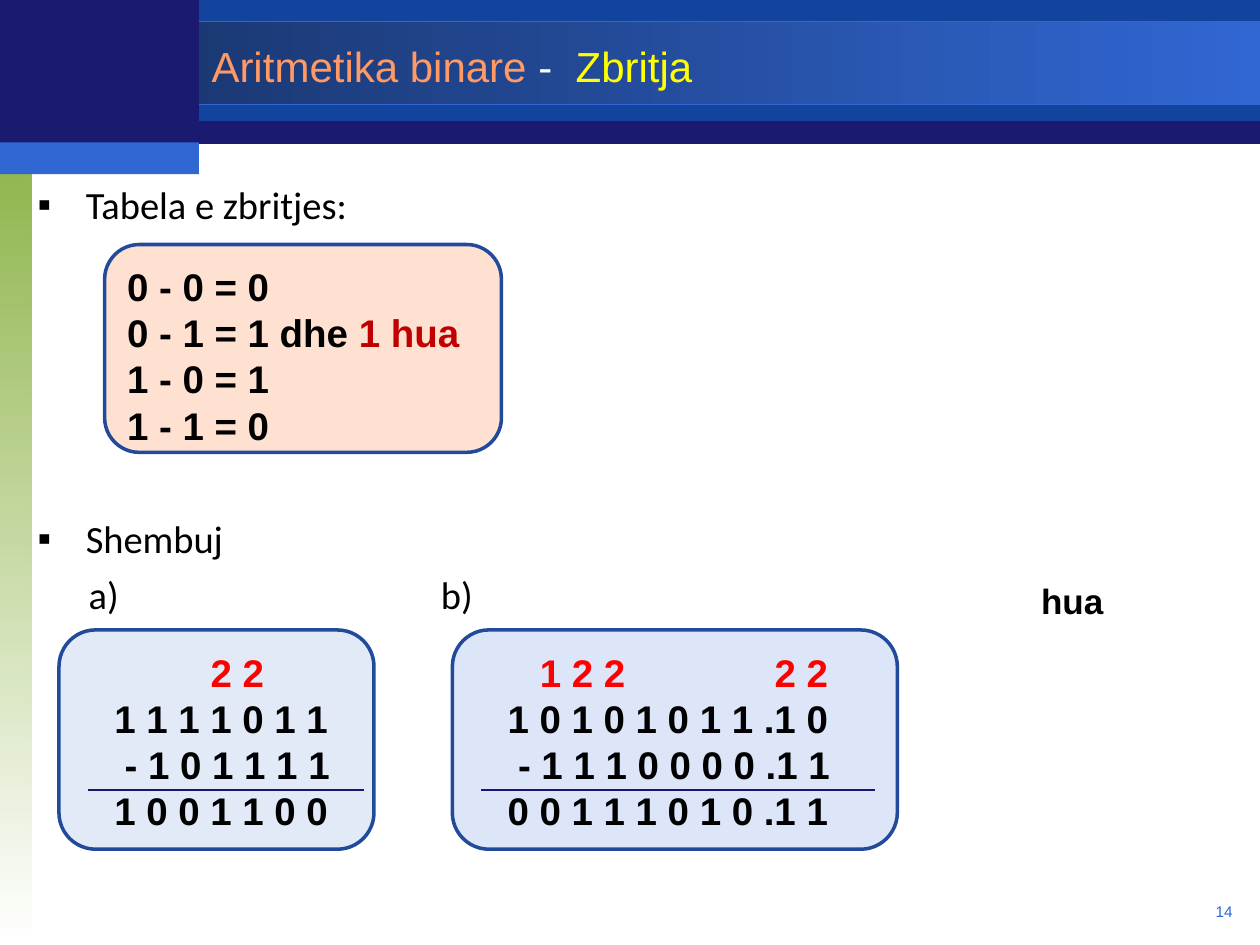
from lxml import etree
from pptx import Presentation
from pptx.dml.color import RGBColor
from pptx.enum.shapes import MSO_CONNECTOR, MSO_SHAPE
from pptx.enum.text import MSO_ANCHOR, PP_ALIGN
from pptx.oxml.ns import qn
from pptx.util import Cm, Pt

RECTANGLE = MSO_SHAPE.RECTANGLE
ROUNDED = MSO_SHAPE.FLOWCHART_ALTERNATE_PROCESS
STRAIGHT = MSO_CONNECTOR.STRAIGHT
TOP, MIDDLE = MSO_ANCHOR.TOP, MSO_ANCHOR.MIDDLE
LEFT, CENTER, RIGHT = PP_ALIGN.LEFT, PP_ALIGN.CENTER, PP_ALIGN.RIGHT

COLORS = {
    "navy": "1A1A70", "band": "12449E", "blue": "3167D3", "deep": "173062",
    "green": "90B54D", "white": "FFFFFF", "black": "000000", "orange": "FF9966",
    "yellow": "FFFF00", "red": "FF0000", "dark_red": "C00000",
    "border": "214A9B", "rule": "17176F", "pale": "D6E1F6", "mist": "CFDAF6",
}
INDENT = 0.97


def rgb(name):
    return RGBColor.from_string(COLORS[name])


def add_panel(slide, box, fill, kind=RECTANGLE, line=None, width=2, alpha=None):
    shape = slide.shapes.add_shape(kind, *map(Cm, box))
    shape.shadow.inherit = False
    shape.fill.solid()
    shape.fill.fore_color.rgb = rgb(fill)
    if alpha:
        color = shape.fill._xPr.find(".//" + qn("a:srgbClr"))
        etree.SubElement(color, qn("a:alpha"), val=str(alpha * 1000))
    if line:
        shape.line.color.rgb = rgb(line)
        shape.line.width = Pt(width)
    else:
        shape.line.fill.background()
    return shape


def set_gradient(shape, start, end, angle):
    shape.fill.gradient()
    shape.fill.gradient_angle = angle
    for stop, name in zip(shape.fill.gradient_stops, (start, end)):
        stop.color.rgb = rgb(name)


def add_text_box(slide, box):
    frame = slide.shapes.add_textbox(*map(Cm, box)).text_frame
    frame.word_wrap = True
    return frame


def set_tabs(paragraph, stops):
    tabs = etree.SubElement(paragraph._p.get_or_add_pPr(), qn("a:tabLst"))
    for stop in stops:
        etree.SubElement(tabs, qn("a:tab"), pos=str(Cm(stop)), algn="l")


def set_bullet(paragraph):
    properties = paragraph._p.get_or_add_pPr()
    properties.set("marL", str(Cm(INDENT)))
    properties.set("indent", str(-Cm(INDENT)))
    color = etree.SubElement(properties, qn("a:buClr"))
    etree.SubElement(color, qn("a:srgbClr"), val=COLORS["black"])
    etree.SubElement(properties, qn("a:buFont"), typeface="Arial")
    etree.SubElement(properties, qn("a:buChar"), char="▪")


def write(paragraph, runs, size, font="Arial", bold=False, align=LEFT):
    paragraph.alignment = align
    for text, color in runs:
        run = paragraph.add_run()
        run.text = text
        run.font.name = font
        run.font.size = Pt(size)
        run.font.bold = bold
        run.font.color.rgb = rgb(color)


def add_frame_design(slide):
    add_panel(slide, (0, 0.03, 25.4, 2.87), "navy")
    add_panel(slide, (4.01, 0, 21.39, 2.44), "band")
    band = add_panel(slide, (0, 0.43, 25.4, 1.68), "blue", line="blue", width=0.75)
    set_gradient(band, "deep", "blue", 0)
    side = add_panel(slide, (0, 3.18, 0.64, 15.87), "green")
    set_gradient(side, "green", "white", 270)
    add_panel(slide, (0, 0, 4.01, 2.97), "navy")
    add_panel(slide, (0, 2.87, 4.01, 0.64), "blue")


def add_title(slide):
    title = slide.shapes.title
    slide.shapes._spTree.append(title._element)
    title.left, title.top, title.width, title.height = map(Cm, (4.01, 0.58, 19.05, 1.47))
    title.text_frame.vertical_anchor = MIDDLE
    runs = [("Aritmetika binare ", "orange"), ("-  ", "white"), ("Zbritja", "yellow")]
    write(title.text_frame.paragraphs[0], runs, 24)


def add_body(slide):
    frame = add_text_box(slide, (0.51, 3.53, 24, 14.53))
    heading = frame.paragraphs[0]
    examples, labels = frame.add_paragraph(), frame.add_paragraph()
    for paragraph, text in ((heading, "Tabela e zbritjes:"), (examples, "Shembuj")):
        set_bullet(paragraph)
        write(paragraph, [(text, "black")], 22, "Calibri")
    set_tabs(labels, (1.03, 8.13))
    write(labels, [("\ta)\tb)", "black")], 22, "Calibri")
    examples.space_before = Pt(164.5)
    labels.space_before = Pt(5.5)


def add_card(slide, box, fill, alpha, lines):
    card = add_panel(slide, box, fill, ROUNDED, "border", 2, alpha)
    frame = card.text_frame
    frame.word_wrap = True
    frame.vertical_anchor = TOP
    frame.margin_top = Cm(0.18)
    for index, (stops, runs) in enumerate(lines):
        paragraph = frame.add_paragraph() if index else frame.paragraphs[0]
        paragraph.line_spacing = Pt(26.3)
        if stops:
            set_tabs(paragraph, stops)
        write(paragraph, runs, 22, bold=True)


def add_example(slide, left, width, fill, alpha, borrow_stops, rows, rule):
    borrow, *numbers = rows
    lines = [(borrow_stops, [(borrow, "red")])]
    for stop, number in zip((0.65, 0.86, 0.65), numbers):
        lines.append(((stop,), [("\t" + number, "black")]))
    add_card(slide, (left, 12.7, width, 4.42), fill, alpha, lines)
    start, end = rule
    line = slide.shapes.add_connector(STRAIGHT, Cm(start), Cm(15.93), Cm(end), Cm(15.93))
    line.line.color.rgb = rgb("rule")
    line.line.width = Pt(1)
    etree.SubElement(line._element.spPr, qn("a:effectLst"))


def main():
    presentation = Presentation()
    presentation.slide_width, presentation.slide_height = Cm(25.4), Cm(19.05)
    slide = presentation.slides.add_slide(presentation.slide_layouts[5])
    add_frame_design(slide)
    number = add_text_box(slide, (19.18, 18.06, 5.92, 0.69))
    write(number.paragraphs[0], [("14", "blue")], 8.8, align=RIGHT)
    add_title(slide)
    add_body(slide)
    add_card(slide, (2.11, 4.93, 8, 4.19), "orange", 29, [
        ((), [("0 - 0 = 0", "black")]),
        ((), [("0 - 1 = 1 dhe ", "black"), ("1 hua", "dark_red")]),
        ((), [("1 - 0 = 1", "black")]),
        ((), [("1 - 1 = 0", "black")]),
    ])
    add_example(slide, 1.19, 6.35, "pale", 69, (2.59,),
                ("\t2 2", "1 1 1 1 0 1 1", "- 1 0 1 1 1 1", "1 0 0 1 1 0 0"),
                (1.78, 7.34))
    add_example(slide, 9.12, 8.97, "mist", 70, (1.3, 6.03),
                ("\t1 2 2\t2 2", "1 0 1 0 1 0 1 1 .1 0",
                 "- 1 1 1 0 0 0 0 .1 1", "0 0 1 1 1 0 1 0 .1 1"),
                (9.7, 17.63))
    loan = add_text_box(slide, (20.32, 11.51, 2.59, 1.19))
    loan.vertical_anchor = MIDDLE
    write(loan.paragraphs[0], [("hua", "black")], 20, bold=True, align=CENTER)
    presentation.save("out.pptx")


if __name__ == "__main__":
    main()
